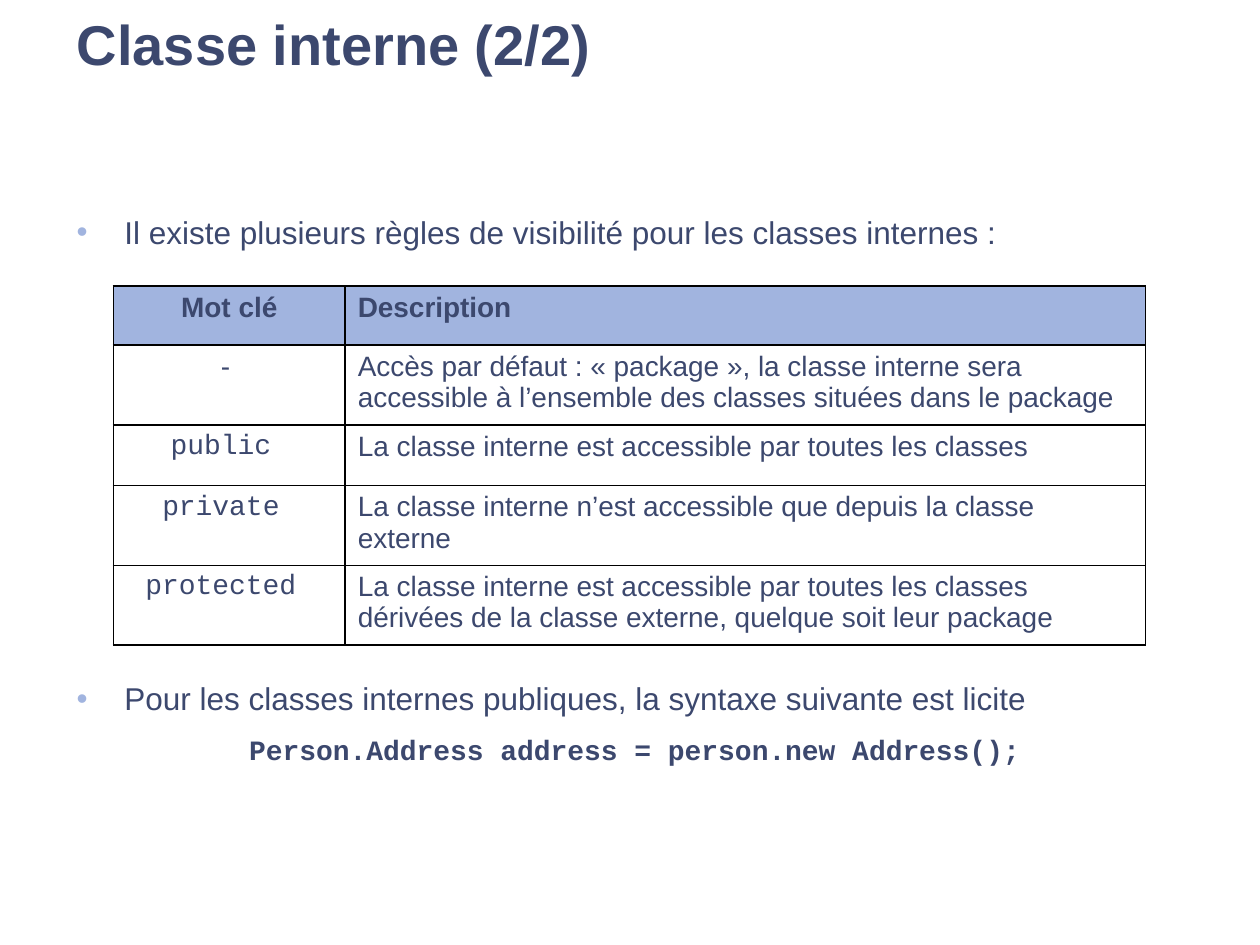
from lxml.etree import SubElement
from pptx import Presentation
from pptx.dml.color import RGBColor
from pptx.enum.text import MSO_ANCHOR, PP_ALIGN
from pptx.oxml.ns import qn
from pptx.util import Inches, Pt

COLORS = {"text": "3C486E", "accent": "A1B4DF", "border": "000000"}
TEXT_FONT = "Arial"
CODE_FONT = "Courier New"
COLUMN_WIDTHS = [1.84, 6.35]
ROW_HEIGHTS = [0.47, 0.6, 0.48, 0.6, 0.6]
VISIBILITY_ROWS = [
    ("Mot clé", "Description"),
    ("- ", "Accès par défaut : « package », la classe interne sera accessible "
           "à l’ensemble des classes situées dans le package"),
    ("public ", "La classe interne est accessible par toutes les classes"),
    ("private ", "La classe interne n’est accessible que depuis la classe externe"),
    ("protected ", "La classe interne est accessible par toutes les classes "
                   "dérivées de la classe externe, quelque soit leur package"),
]


def write(para, text, size=16, font=TEXT_FONT, bold=False, align=PP_ALIGN.LEFT, before=0):
    para.alignment = align
    para.space_before = Pt(before)
    span = para.add_run()
    span.text = text
    span.font.name = font
    span.font.size = Pt(size)
    span.font.bold = bold
    span.font.color.rgb = RGBColor.from_string(COLORS["text"])


def set_bullet(para):
    properties = para._p.get_or_add_pPr()
    properties.set("marL", str(Inches(0.38)))
    properties.set("indent", str(Inches(-0.38)))
    bullet_color = SubElement(properties, qn("a:buClr"))
    SubElement(bullet_color, qn("a:srgbClr"), val=COLORS["accent"])
    SubElement(properties, qn("a:buFont"), typeface=TEXT_FONT)
    SubElement(properties, qn("a:buChar"), char="•")


def set_borders(cell):
    properties = cell._tc.get_or_add_tcPr()
    for position, side in enumerate(("a:lnL", "a:lnR", "a:lnT", "a:lnB")):
        line = SubElement(properties, qn(side), w=str(Pt(1)))
        properties.insert(position, line)
        fill = SubElement(line, qn("a:solidFill"))
        SubElement(fill, qn("a:srgbClr"), val=COLORS["border"])


def add_title(page, text):
    title = page.shapes.title
    title.left, title.top = Inches(0.51), Inches(0)
    title.width, title.height = Inches(9), Inches(0.68)
    title.text_frame.vertical_anchor = MSO_ANCHOR.MIDDLE
    write(title.text_frame.paragraphs[0], text, size=32, bold=True)


def add_body(page):
    box = page.shapes.add_textbox(Inches(0.51), Inches(1.64), Inches(8.74), Inches(4.57))
    frame = box.text_frame
    frame.word_wrap = True
    rules = frame.paragraphs[0]
    set_bullet(rules)
    write(rules, "Il existe plusieurs règles de visibilité pour les classes internes :", size=18)
    syntax = frame.add_paragraph()
    set_bullet(syntax)
    write(syntax, "Pour les classes internes publiques, la syntaxe suivante est licite",
          size=18, before=245)
    code = frame.add_paragraph()
    code._p.get_or_add_pPr().set("marL", str(Inches(1.37)))
    write(code, "Person.Address address = person.new Address();",
          font=CODE_FONT, bold=True, before=9)


def add_visibility_table(page):
    frame = page.shapes.add_table(
        len(ROW_HEIGHTS), len(COLUMN_WIDTHS), Inches(0.9), Inches(2.27),
        Inches(sum(COLUMN_WIDTHS)), Inches(sum(ROW_HEIGHTS)))
    table = frame.table
    for column, width in zip(table.columns, COLUMN_WIDTHS):
        column.width = Inches(width)
    for row, height in zip(table.rows, ROW_HEIGHTS):
        row.height = Inches(height)
    for row_index, texts in enumerate(VISIBILITY_ROWS):
        is_header = row_index == 0
        for column_index, text in enumerate(texts):
            is_keyword = column_index == 0
            cell = table.cell(row_index, column_index)
            if is_header:
                cell.fill.solid()
                cell.fill.fore_color.rgb = RGBColor.from_string(COLORS["accent"])
            else:
                cell.fill.background()
            set_borders(cell)
            write(cell.text_frame.paragraphs[0], text, bold=is_header,
                  font=CODE_FONT if is_keyword and row_index > 1 else TEXT_FONT,
                  align=PP_ALIGN.CENTER if is_keyword else PP_ALIGN.LEFT)


def main():
    deck = Presentation()
    deck.slide_width, deck.slide_height = Inches(10), Inches(7.5)
    page = deck.slides.add_slide(deck.slide_layouts[5])
    add_title(page, "Classe interne (2/2)")
    add_body(page)
    add_visibility_table(page)
    deck.save("out.pptx")


if __name__ == "__main__":
    main()
